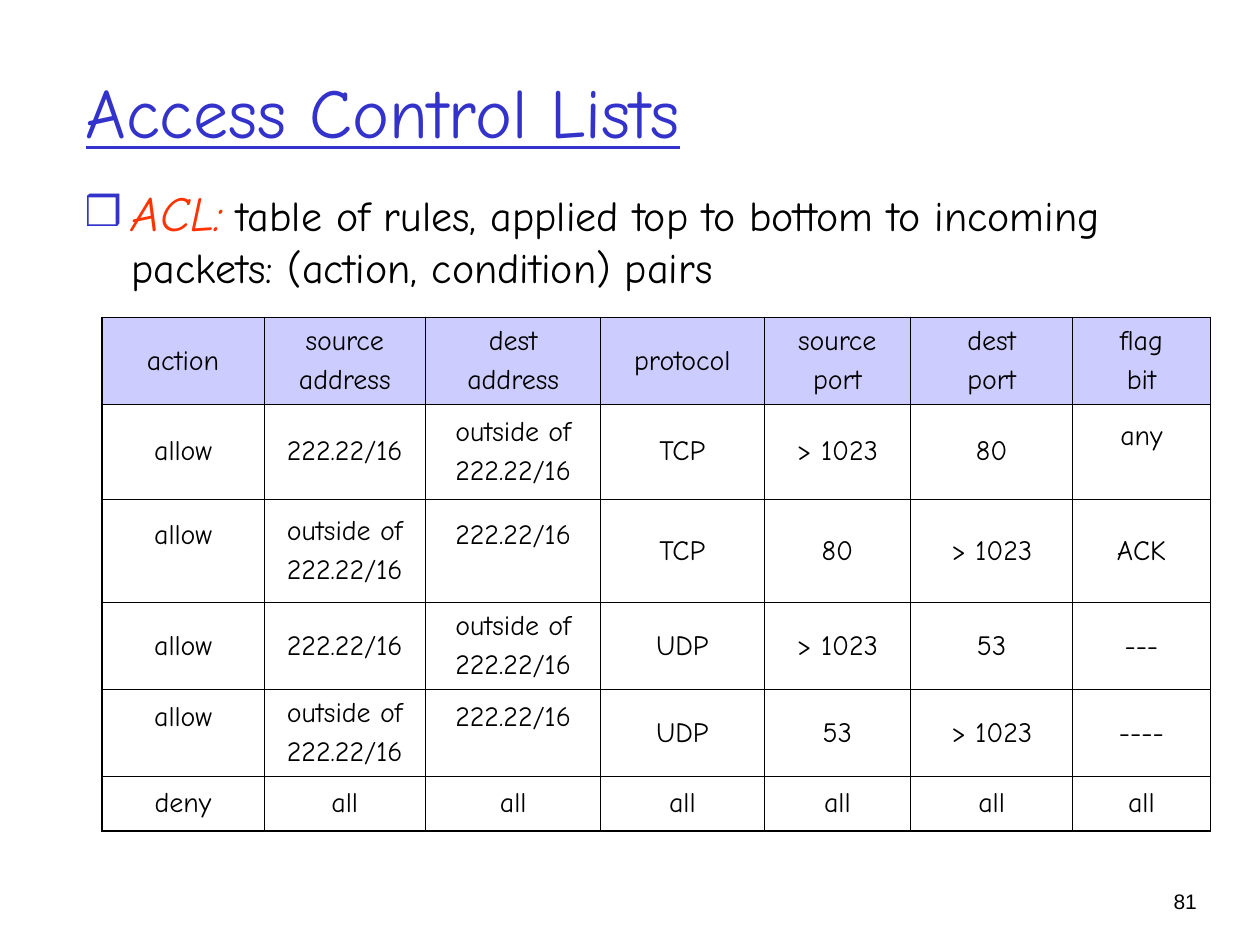
from lxml import etree
from pptx import Presentation
from pptx.dml.color import RGBColor
from pptx.enum.text import MSO_ANCHOR, MSO_AUTO_SIZE, PP_ALIGN
from pptx.oxml.ns import qn
from pptx.util import Cm, Pt

LEFT, MID, RIGHT = PP_ALIGN.LEFT, PP_ALIGN.CENTER, PP_ALIGN.RIGHT
TOP, CENTER = MSO_ANCHOR.TOP, MSO_ANCHOR.MIDDLE
FIXED = MSO_AUTO_SIZE.NONE

# Content
TITLE = "Access Control Lists"
TERM = "ACL:"
RULE = (" table of rules, applied top to bottom to incoming packets: "
        "(action, condition) pairs")
PAGE = "81"
NET, OUT = "222.22/16", "outside of\n222.22/16"
ROWS = [
    ["action", "source\naddress", "dest\naddress", "protocol",
     "source\nport", "dest\nport", "flag\nbit"],
    ["allow", NET, OUT, "TCP", "> 1023", "80", "any"],
    ["allow", OUT, NET, "TCP", "80", "> 1023", "ACK"],
    ["allow", NET, OUT, "UDP", "> 1023", "53", "---"],
    ["allow", OUT, NET, "UDP", "53", "> 1023", "----"],
    ["deny"] + ["all"] * 6,
]
RAISED = {(1, 6), (2, 0), (2, 2), (4, 0), (4, 2)}

# Theme and layout (lengths in cm, type and lines in points)
THEME = {
    "title": {"name": "Comic Neue", "size": 40, "color": "3333CC",
              "underline": True, "bold": False},
    "term": {"name": "Comic Neue", "size": 28, "color": "FF3300",
             "italic": True},
    "body": {"name": "Comic Neue", "size": 24, "color": "000000"},
    "cell": {"name": "Comic Neue", "size": 16, "color": "000000",
             "bold": False},
    "page": {"name": "Arial", "size": 12, "color": "000000"},
    "bullet": "3333CC", "head": "CCCCFF", "line": "000000",
    "thin": 0.45, "thick": 1.08,
}
BOXES = {
    "title": (1.47, 0.64, 21.59, 3.18),
    "body": (1.45, 3.56, 21.59, 2.82),
    "page": (22.35, 17.78, 2.03, 0.81),
}
GRID = (2.06, 6.4)
WIDTHS = [3.26, 3.26, 3.53, 3.29, 2.96, 3.26, 2.78]
HEIGHTS = [1.75, 1.91, 2.09, 1.75, 1.75, 1.1]
LIFT = 0.75  # bottom inset that raises a single line


def style(font, key):
    for name, val in THEME[key].items():
        if name == "color":
            font.color.rgb = RGBColor.from_string(val)
        else:
            setattr(font, name, Pt(val) if name == "size" else val)


def write(par, text, key):
    run = par.add_run()
    run.text = text
    style(run.font, key)


def place(box, key, anchor, align):
    for name, val in zip(("left", "top", "width", "height"), BOXES[key]):
        setattr(box, name, Cm(val))
    frame = box.text_frame
    form = {"word_wrap": True, "auto_size": FIXED, "vertical_anchor": anchor}
    for name, val in form.items():
        setattr(frame, name, val)
    par = frame.paragraphs[0]
    par.alignment = align
    return par


def bullet(par):
    props = par._p.get_or_add_pPr()
    props.set("marL", str(Cm(0.95)))
    props.set("indent", str(Cm(-0.95)))
    color = etree.SubElement(props, qn("a:buClr"))
    etree.SubElement(color, qn("a:srgbClr"), val=THEME["bullet"])
    etree.SubElement(props, qn("a:buSzPct"), val="85000")
    etree.SubElement(props, qn("a:buChar"), char="❒")


def border(cell, edges):
    props = cell._tc.get_or_add_tcPr()
    for spot, (side, outer) in enumerate(edges.items()):
        width = Pt(THEME["thick" if outer else "thin"])
        line = etree.Element(qn("a:ln" + side), w=str(width))
        fill = etree.SubElement(line, qn("a:solidFill"))
        etree.SubElement(fill, qn("a:srgbClr"), val=THEME["line"])
        props.insert(spot, line)


def fill_cell(cell, text, row, col):
    if row == 0:
        cell.fill.solid()
        cell.fill.fore_color.rgb = RGBColor.from_string(THEME["head"])
    else:
        cell.fill.background()
    cell.vertical_anchor = CENTER
    if (row, col) in RAISED:
        cell.margin_bottom = Cm(LIFT)
    for num, line in enumerate(text.split("\n")):
        frame = cell.text_frame
        par = frame.add_paragraph() if num else frame.paragraphs[0]
        par.alignment = MID
        par.space_before = Pt(4 if num else 0)
        write(par, line, "cell")
    border(cell, {"L": col == 0, "R": col == len(WIDTHS) - 1,
                  "T": row == 0, "B": row == len(ROWS) - 1})


def add_rules(slide):
    frame = slide.shapes.add_table(
        len(ROWS), len(WIDTHS), Cm(GRID[0]), Cm(GRID[1]),
        Cm(sum(WIDTHS)), Cm(sum(HEIGHTS)))
    table = frame.table
    table.first_row = table.horz_banding = False
    for col, width in zip(table.columns, WIDTHS):
        col.width = Cm(width)
    for row, height in zip(table.rows, HEIGHTS):
        row.height = Cm(height)
    for r, texts in enumerate(ROWS):
        for c, text in enumerate(texts):
            fill_cell(table.cell(r, c), text, r, c)


def main():
    deck = Presentation()
    deck.slide_width, deck.slide_height = Cm(25.4), Cm(19.05)
    slide = deck.slides.add_slide(deck.slide_layouts[1])

    # Title and definition
    write(place(slide.shapes.title, "title", CENTER, LEFT), TITLE, "title")
    par = place(slide.placeholders[1], "body", TOP, LEFT)
    bullet(par)
    par.space_before = Pt(0)
    write(par, TERM, "term")
    write(par, RULE, "body")

    # Rule table
    add_rules(slide)

    # Page number
    box = slide.shapes.add_textbox(*map(Cm, BOXES["page"]))
    write(place(box, "page", TOP, RIGHT), PAGE, "page")
    deck.save("out.pptx")


if __name__ == "__main__":
    main()
